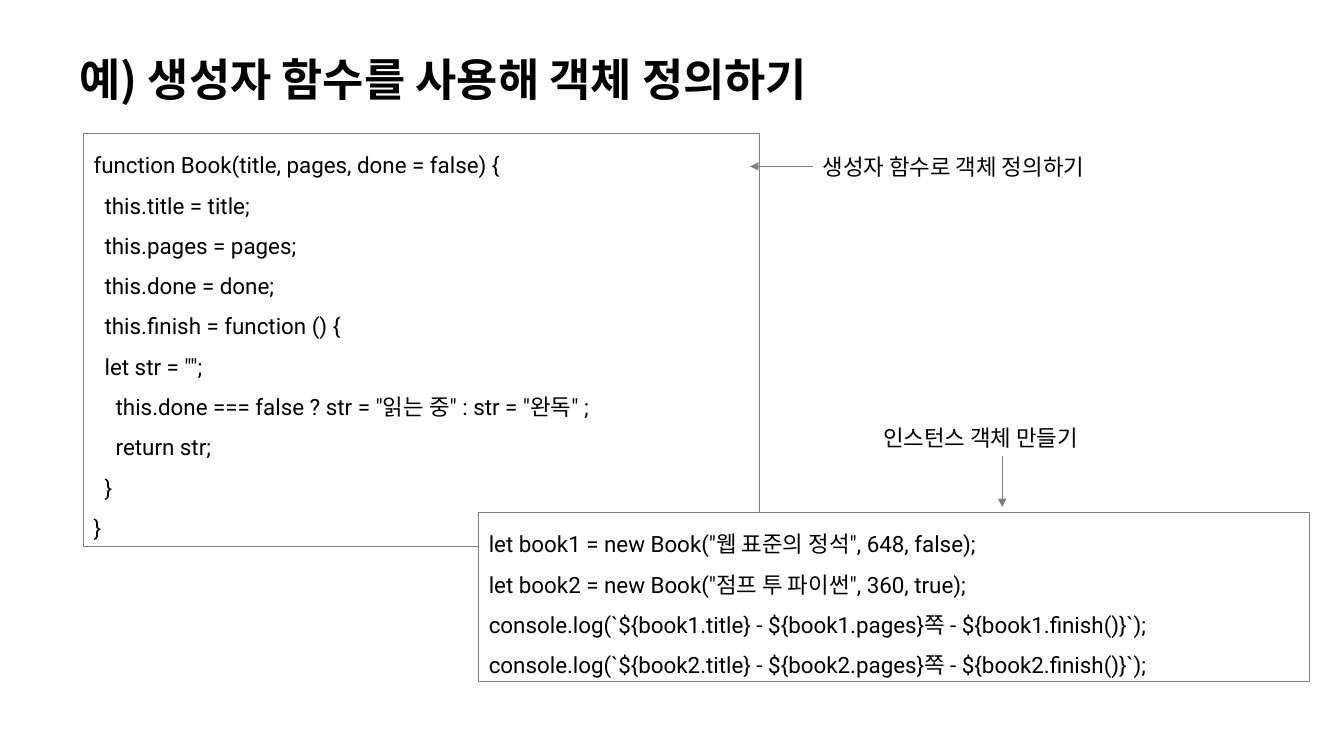
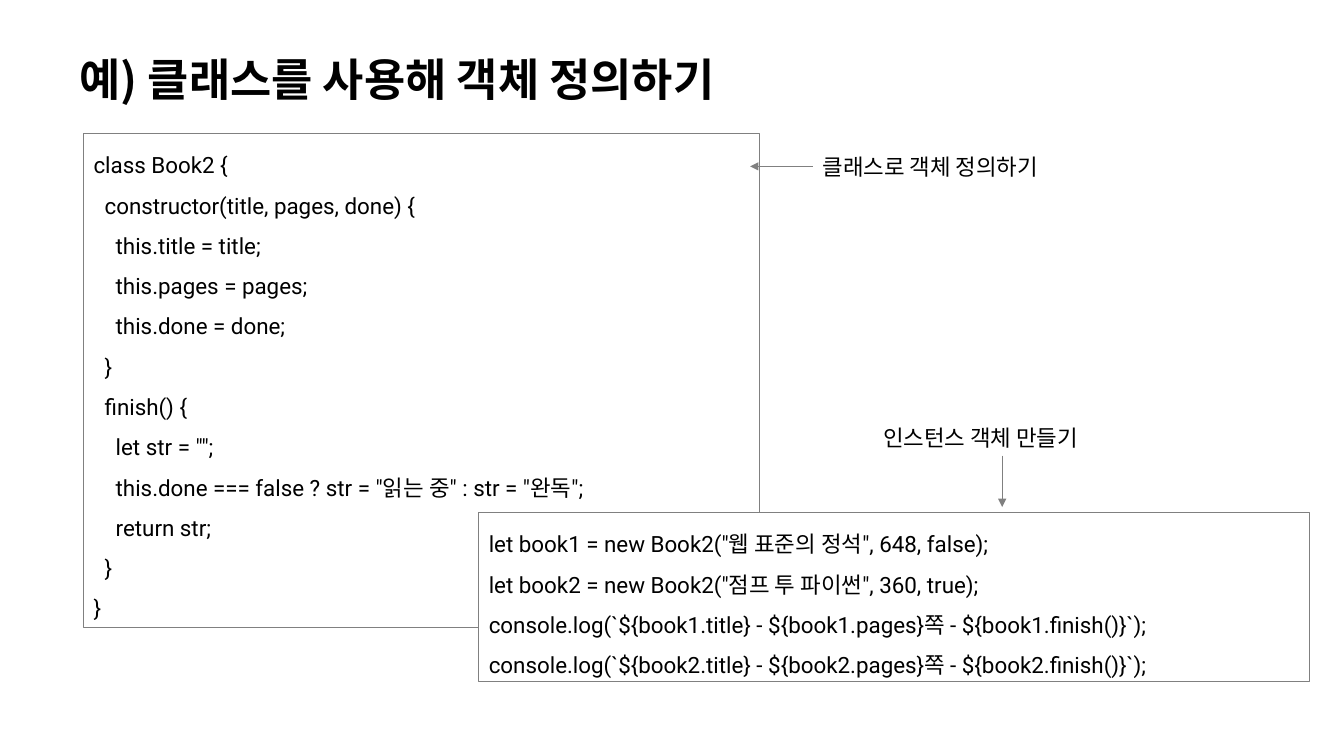
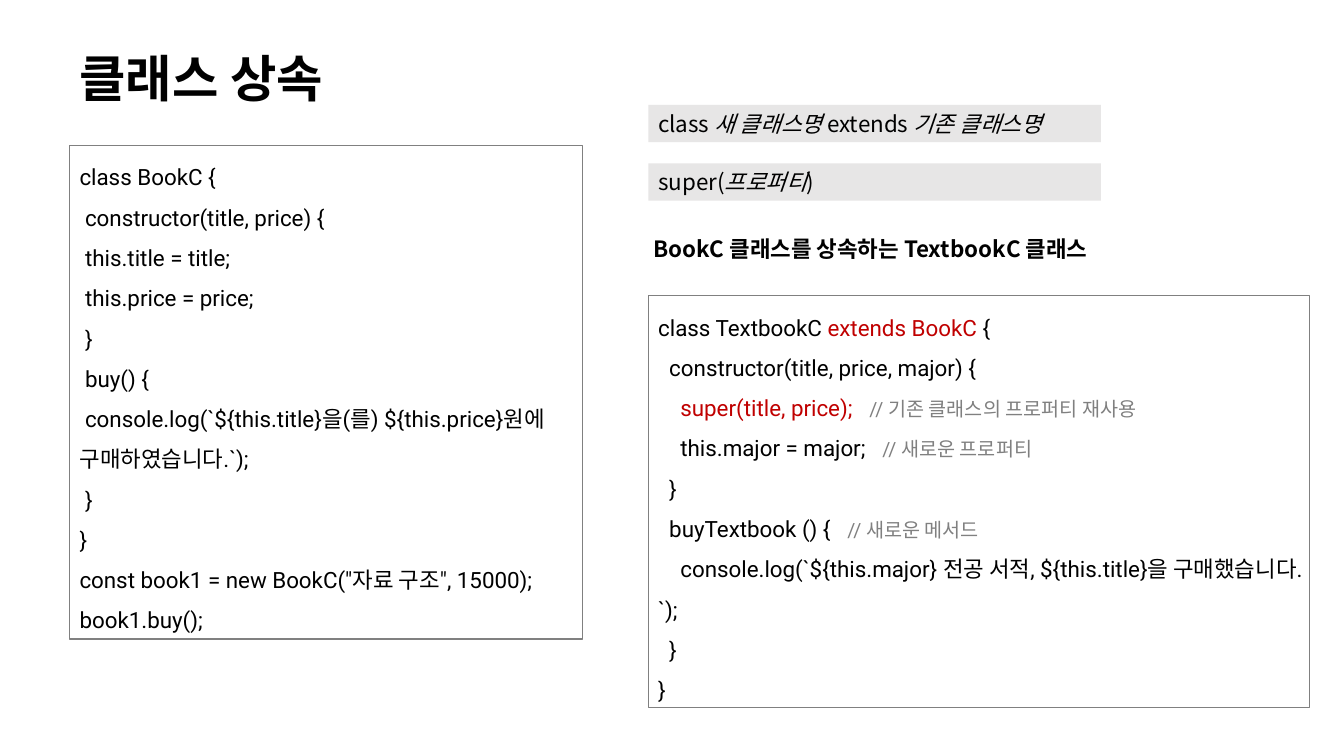
from lxml import etree
from pptx import Presentation
from pptx.dml.color import RGBColor
from pptx.enum.shapes import MSO_CONNECTOR
from pptx.enum.text import MSO_ANCHOR, MSO_AUTO_SIZE
from pptx.oxml.ns import qn
from pptx.util import Inches, Pt

STRAIGHT = MSO_CONNECTOR.STRAIGHT
TOP, MIDDLE = MSO_ANCHOR.TOP, MSO_ANCHOR.MIDDLE
GROW, FIXED = MSO_AUTO_SIZE.SHAPE_TO_FIT_TEXT, MSO_AUTO_SIZE.NONE
BLACK, WHITE, GRAY, RED, PALE = "000000", "FFFFFF", "808080", "C00000", "E7E6E6"
KOREAN, LATIN = "Noto Sans CJK KR", "Roboto"

TITLE_AREA = (0.69, 0.35, 9.74, 0.92)
TITLE = dict(bold=True, spacing=0.9, anchor=MIDDLE, fit=FIXED)
CODE = dict(font=LATIN, spacing=1.5, border=GRAY)
RED_CODE = dict(color=RED)
REMARK = dict(color=GRAY, size=14)
ITALIC = dict(italic=True)


def add_text(slide, area, lines, font=KOREAN, size=16, color=BLACK, bold=False,
             spacing=None, anchor=TOP, fit=GROW, fill=None, border=None):
    box = slide.shapes.add_textbox(*map(Inches, area))
    if fill:
        box.fill.solid()
        box.fill.fore_color.rgb = RGBColor.from_string(fill)
    if border:
        box.line.color.rgb = RGBColor.from_string(border)
        box.line.width = Pt(0.75)
    frame = box.text_frame
    frame.word_wrap = True
    frame.auto_size = fit
    frame.vertical_anchor = anchor
    for number, line in enumerate(lines):
        paragraph = frame.paragraphs[0] if number == 0 else frame.add_paragraph()
        if spacing:
            paragraph.line_spacing = spacing
        for text, changes in [(line, {})] if isinstance(line, str) else line:
            run = paragraph.add_run()
            run.text = text
            run.font.name = font
            run.font.size = Pt(changes.get("size", size))
            run.font.bold = bold
            run.font.italic = changes.get("italic", False)
            run.font.color.rgb = RGBColor.from_string(changes.get("color", color))
            east_asian = etree.SubElement(run.font._element, qn("a:ea"))
            east_asian.set("typeface", KOREAN)
    return box


def add_arrow(slide, start, end):
    arrow = slide.shapes.add_connector(STRAIGHT, *map(Inches, start + end))
    arrow.line.color.rgb = RGBColor.from_string(GRAY)
    arrow.line.width = Pt(0.5)
    etree.SubElement(arrow.line._get_or_add_ln(), qn("a:tailEnd")).set("type", "triangle")
    etree.SubElement(arrow._element.spPr, qn("a:effectLst"))
    return arrow


prs = Presentation()
prs.slide_width, prs.slide_height = Inches(13.33), Inches(7.5)
blank = prs.slide_layouts[6]

constructor_code = '''function Book(title, pages, done = false) {
  this.title = title;
  this.pages = pages;
  this.done = done;
  this.finish = function () {
  let str = "";
    this.done === false ? str = "읽는 중" : str = "완독" ;
    return str;
  }
}'''

class_code = '''class Book2 {
  constructor(title, pages, done) {
    this.title = title;
    this.pages = pages;
    this.done = done;
  }
  finish() {
    let str = "";
    this.done === false ? str = "읽는 중" : str = "완독";
    return str;
  }
}'''

definitions = [
    ("생성자 함수를 사용해", "생성자 함수로", "Book", constructor_code, 4.1),
    ("클래스를 사용해", "클래스로", "Book2", class_code, 4.91),
]
for method, means, class_name, definition, height in definitions:
    slide = prs.slides.add_slide(blank)
    add_text(slide, TITLE_AREA, [f"예) {method} 객체 정의하기"], size=32, **TITLE)
    add_text(slide, (0.83, 1.32, 6.7, height), definition.splitlines(), **CODE)
    instances = [
        f'let book1 = new {class_name}("웹 표준의 정석", 648, false);',
        f'let book2 = new {class_name}("점프 투 파이썬", 360, true);',
    ]
    for book in ("book1", "book2"):
        instances.append(
            "console.log(`${BOOK.title} - ${BOOK.pages}쪽 - ${BOOK.finish()}`);".replace("BOOK", book))
    add_text(slide, (4.75, 5.08, 8.24, 1.68), instances, fill=WHITE, **CODE)
    definition_label = add_text(slide, (8.06, 1.47, 3.19, 0.36), [f"{means} 객체 정의하기"])
    add_arrow(slide, (8.06, 1.65), (7.44, 1.65)).begin_connect(definition_label, 1)
    add_text(slide, (8.66, 4.16, 3.19, 0.37), ["인스턴스 객체 만들기"])
    add_arrow(slide, (9.94, 4.52), (9.94, 5.03))

parent_code = '''class BookC {
 constructor(title, price) {
 this.title = title;
 this.price = price;
 }
 buy() {
 console.log(`${this.title}을(를) ${this.price}원에 구매하였습니다.`);
 }
}
const book1 = new BookC("자료 구조", 15000);
book1.buy();'''

child_code = [
    [("class TextbookC ", {}), ("extends BookC ", RED_CODE), ("{", {})],
    "  constructor(title, price, major) {",
    [("    ", {}), ("super(title, price);   ", RED_CODE), ("// 기존 클래스의 프로퍼티 재사용", REMARK)],
    [("    this.major = major;   ", {}), ("// 새로운 프로퍼티", REMARK)],
    "  }",
    [("  buyTextbook () {   ", {}), ("// 새로운 메서드", REMARK)],
    "    console.log(`${this.major} 전공 서적, ${this.title}을 구매했습니다.`);",
    "  }",
    "}",
]

syntax_forms = [
    [("class ", {}), ("새 클래스명 ", ITALIC), ("extends ", {}), ("기존 클래스명", ITALIC)],
    [("super(", {}), ("프로퍼티", ITALIC), (")", {})],
]

slide = prs.slides.add_slide(blank)
add_text(slide, TITLE_AREA, ["클래스 상속"], font="Arial", size=36, **TITLE)
add_text(slide, (0.69, 1.44, 5.09, 4.9), parent_code.splitlines(), **CODE)
add_text(slide, (6.43, 2.93, 6.56, 4.09), child_code, **CODE)
add_text(slide, (6.38, 2.28, 6.67, 0.37), ["BookC 클래스를 상속하는 TextbookC 클래스"], bold=True)
for row, syntax in enumerate(syntax_forms):
    add_text(slide, (6.43, 1.04 + 0.58 * row, 4.49, 0.37), [syntax], fill=PALE)

prs.save("out.pptx")
